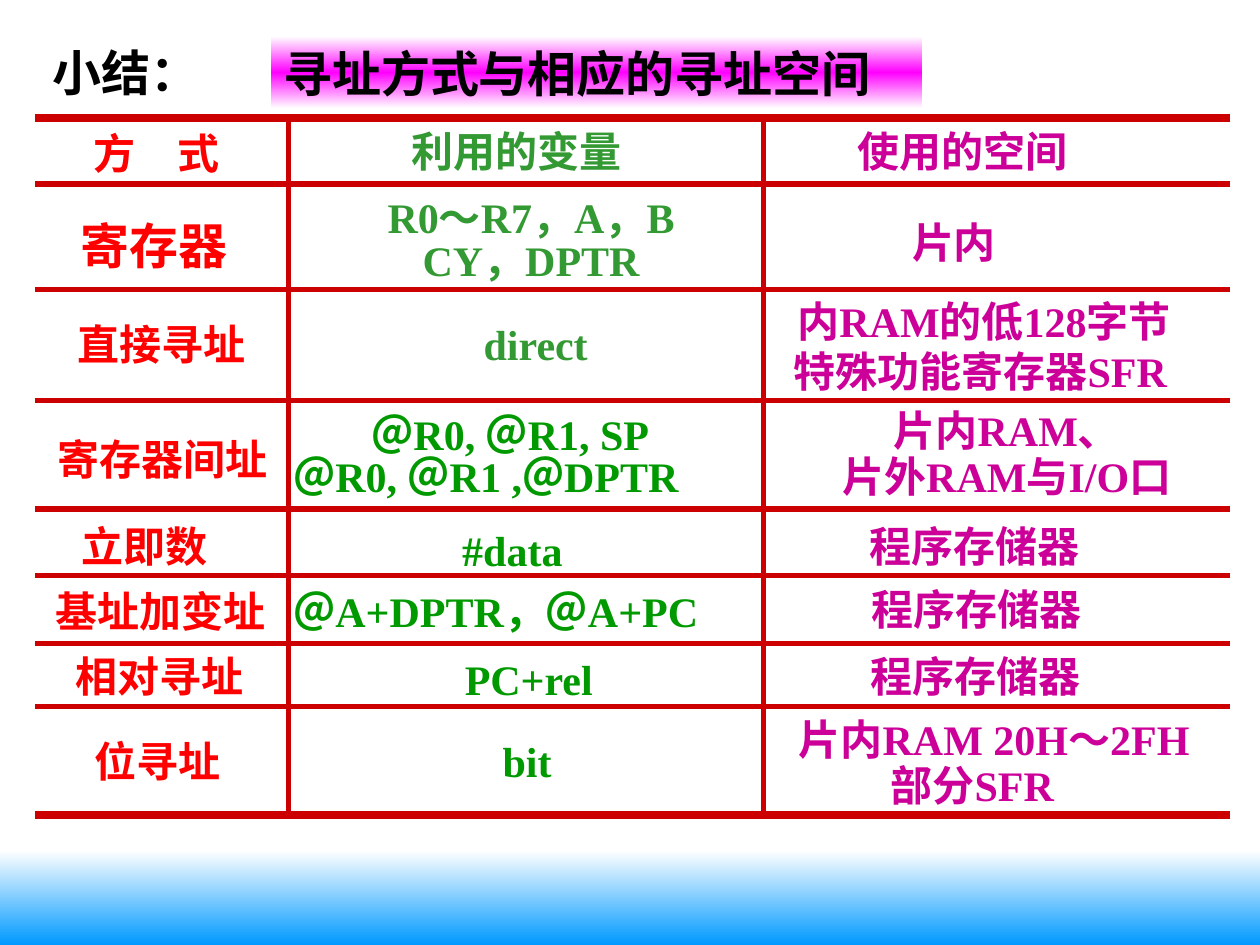
from copy import deepcopy
from lxml import etree
from pptx import Presentation
from pptx import util as u
from pptx.dml.color import RGBColor
from pptx.enum import shapes, text
from pptx.oxml.ns import qn

THEME = dict(
    latin="Times New Roman", cjk="Noto Sans CJK SC", body=24, big=28,
    title="000000", mode="FF0000", variable="339933", operand="009900",
    space="CC0099", rule="CC0000", white="FFFFFF", banner="FF00FF", sky="0099FF",
    thin=3, thick=4.5,
)

# Content: text, left, top, width, then options
TITLE = ("小结：", 0.32, 0.29, 1.39, {"size": "big"})
BANNER = ("寻址方式与相应的寻址空间", 2.15, 0.29, 5.17, 0.57)
CENTER = {"center": True}
COLUMNS = {
    "mode": [
        ("方　式", 0.34, 0.96, 1.81, CENTER),
        ("寄存器", 0.54, 1.66, 1.57, {"size": "big"}),
        ("直接寻址", 0.52, 2.48, 1.83, {}),
        ("寄存器间址", 0.36, 3.39, 1.95, {}),
        ("立即数", 0.55, 4.08, 1.65, {}),
        ("基址加变址", 0.34, 4.6, 1.95, {}),
        ("相对寻址", 0.5, 5.11, 1.6, {}),
        ("位寻址", 0.65, 5.79, 1.3, {}),
    ],
    "variable": [
        ("利用的变量", 3.17, 0.95, 3.03, {}),
        ("R0～R7，A，B\nCY，DPTR", 2.35, 1.53, 3.73,
         {"center": True, "height": 0.78, "spacing": 0.85}),
        ("direct", 3.74, 2.48, 1.42, {}),
    ],
    "operand": [
        ("＠R0, ＠R1, SP", 2.51, 3.19, 3.08, CENTER),
        ("＠R0, ＠R1 ,＠DPTR", 2.23, 3.53, 3.85, {}),
        ("#data", 3.57, 4.11, 1.42, {}),
        ("＠A+DPTR，＠A+PC", 2.23, 4.6, 3.75, {}),
        ("PC+rel", 3.59, 5.14, 1.42, {}),
        ("bit", 3.89, 5.79, 0.92, {}),
    ],
    "space": [
        ("使用的空间", 6.71, 0.95, 2.5, {}),
        ("片内", 7.14, 1.67, 1.17, {}),
        ("内RAM的低128字节", 6.23, 2.3, 3.77, {}),
        ("特殊功能寄存器SFR", 6.2, 2.69, 3.35, {}),
        ("片内RAM、\n片外RAM与I/O口", 6.18, 3.21, 3.62,
         {"center": True, "height": 0.82, "spacing": 0.9}),
        ("程序存储器", 6.8, 4.08, 2.33, {}),
        ("程序存储器", 6.82, 4.58, 2.33, {}),
        ("程序存储器", 6.81, 5.11, 2.33, {}),
        ("片内RAM 20H～2FH", 6.24, 5.61, 3.98, {}),
        ("部分SFR", 6.97, 5.98, 1.7, {}),
    ],
}

# Grid rules
LEFT, RIGHT, TOP, BOTTOM = 0.28, 9.76, 0.94, 6.47
ROWS = [1.46, 2.3, 3.18, 4.04, 4.57, 5.11, 5.61]
COLS = [2.29, 6.06]
STRIP = (0, 6.75, 10, 0.75)


def rgb(name):
    return RGBColor.from_string(THEME[name])


def write(sp, words, color, size="body", center=False, spacing=None):
    tf = sp.text_frame
    tf.text = words
    tf.word_wrap = True
    for p in tf.paragraphs:
        p.alignment = text.PP_ALIGN.CENTER if center else text.PP_ALIGN.LEFT
        if spacing:
            p.line_spacing = spacing
        for r in p.runs:
            r.font.size = u.Pt(THEME[size])
            r.font.bold = True
            r.font.name = THEME["latin"]
            r.font.color.rgb = rgb(color)
            ea = etree.SubElement(r._r.get_or_add_rPr(), qn("a:ea"))
            ea.set("typeface", THEME["cjk"])


def label(s, color, words, x, y, w, options):
    style = dict(options)
    h = style.pop("height", 0.57 if style.get("size") == "big" else 0.5)
    sp = s.shapes.add_textbox(*map(u.Inches, (x, y, w, h)))
    write(sp, words, color, **style)


def gradient_box(s, box, colors):
    sp = s.shapes.add_shape(shapes.MSO_SHAPE.RECTANGLE, *map(u.Inches, box))
    sp.shadow.inherit = False
    sp.line.fill.background()
    sp.fill.gradient()
    sp.fill.gradient_angle = 270
    stops = sp._element.spPr.find(".//" + qn("a:gsLst"))
    while len(stops) < len(colors):
        stops.insert(1, deepcopy(stops[0]))
    for i, (stop, color) in enumerate(zip(sp.fill.gradient_stops, colors)):
        stop.position = i / (len(colors) - 1)
        stop.color.rgb = rgb(color)
    return sp


def rule(s, x1, y1, x2, y2, width="thin"):
    line = s.shapes.add_connector(
        shapes.MSO_CONNECTOR.STRAIGHT, *map(u.Inches, (x1, y1, x2, y2)))
    line.line.color.rgb = rgb("rule")
    line.line.width = u.Pt(THEME[width])
    etree.SubElement(line._element.spPr, qn("a:effectLst"))


def main():
    prs = Presentation()
    prs.slide_width, prs.slide_height = u.Inches(10), u.Inches(7.5)
    s = prs.slides.add_slide(prs.slide_layouts[6])

    # Heading
    words, *box = BANNER
    banner = gradient_box(s, box, ["white", "banner", "white"])
    write(banner, words, "title", size="big")
    label(s, "title", *TITLE)

    # Summary entries
    for color, items in COLUMNS.items():
        for item in items:
            label(s, color, *item)

    # Grid
    for y in ROWS:
        rule(s, LEFT, y, RIGHT, y)
    for x in COLS:
        rule(s, x, TOP, x, BOTTOM)
    for y in (TOP, BOTTOM):
        rule(s, LEFT, y, RIGHT, y, "thick")

    # Bottom strip
    gradient_box(s, STRIP, ["white", "sky"])
    prs.save("out.pptx")


if __name__ == "__main__":
    main()
